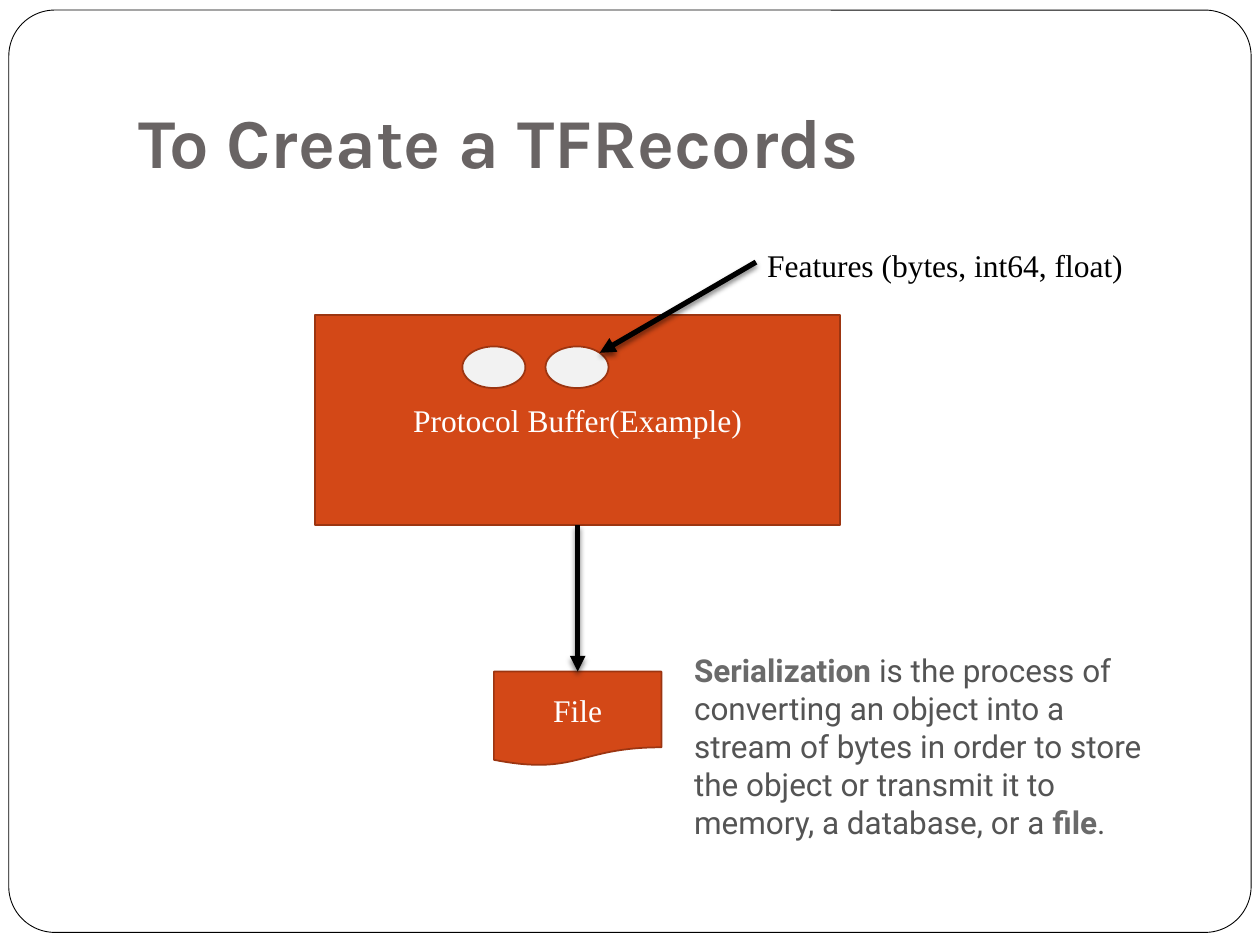
from lxml.etree import SubElement
from pptx import Presentation
from pptx.dml.color import RGBColor
from pptx.enum.shapes import MSO_CONNECTOR, MSO_SHAPE
from pptx.enum.text import MSO_ANCHOR, PP_ALIGN
from pptx.oxml.ns import qn
from pptx.util import Inches, Pt

COLORS = {
    "white": "FFFFFF",
    "black": "000000",
    "orange": "D34817",
    "rust": "9C3511",
    "pale": "F2F2F2",
    "title": "696464",
    "body": "545454",
    "strong": "6A6A6A",
}


def write_text(shape, text, size=18, font="Times New Roman", color="black", bold=False,
               align=PP_ALIGN.LEFT, anchor=MSO_ANCHOR.TOP):
    frame = shape.text_frame
    frame.word_wrap = True
    frame.vertical_anchor = anchor
    paragraph = frame.paragraphs[0]
    paragraph.alignment = align
    run = paragraph.add_run()
    run.text = text
    run.font.size = Pt(size)
    run.font.name = font
    run.font.bold = bold
    run.font.color.rgb = RGBColor.from_string(COLORS[color])


def add_box(kind, left, top, width, height, fill="orange", line="rust", weight=1):
    shape = slide.shapes.add_shape(kind, Inches(left), Inches(top), Inches(width), Inches(height))
    shape.shadow.inherit = False
    shape.fill.solid()
    shape.fill.fore_color.rgb = RGBColor.from_string(COLORS[fill])
    shape.line.color.rgb = RGBColor.from_string(COLORS[line])
    shape.line.width = Pt(weight)
    return shape


presentation = Presentation()
presentation.slide_width = Inches(10)
presentation.slide_height = Inches(7.5)
slide = presentation.slides.add_slide(presentation.slide_layouts[6])

frame_box = add_box(MSO_SHAPE.ROUNDED_RECTANGLE, 0.07, 0.08, 9.86, 7.32, "white", "black", 0.5)
frame_box.adjustments[0] = 0.05

title = slide.shapes.add_textbox(Inches(1), Inches(0.3), Inches(8.5), Inches(1.25))
title.text_frame.margin_bottom = Inches(0.1)
write_text(title, "To Create a TFRecords", size=40, font="Karla", color="title", bold=True,
           anchor=MSO_ANCHOR.BOTTOM)

protocol_buffer = add_box(MSO_SHAPE.RECTANGLE, 2.5, 2.5, 4.17, 1.67)
file_shape = add_box(MSO_SHAPE.FLOWCHART_DOCUMENT, 3.92, 5.33, 1.33, 0.75)
for shape, label in [(protocol_buffer, "Protocol Buffer(Example)"), (file_shape, "File")]:
    write_text(shape, label, color="white", align=PP_ALIGN.CENTER, anchor=MSO_ANCHOR.MIDDLE)

for left in (3.67, 4.33):
    add_box(MSO_SHAPE.OVAL, left, 2.75, 0.5, 0.33, fill="pale")

feature_arrow = slide.shapes.add_connector(
    MSO_CONNECTOR.STRAIGHT, Inches(6), Inches(2.08), Inches(4.76), Inches(2.8))
file_arrow = slide.shapes.add_connector(
    MSO_CONNECTOR.STRAIGHT, Inches(4.58), Inches(4.17), Inches(4.58), Inches(5.33))
file_arrow.begin_connect(protocol_buffer, 2)
file_arrow.end_connect(file_shape, 0)
for arrow in (feature_arrow, file_arrow):
    arrow.line.color.rgb = RGBColor.from_string(COLORS["black"])
    arrow.line.width = Pt(3)
    SubElement(arrow.line._get_or_add_ln(), qn("a:tailEnd"), type="triangle")
    effects = SubElement(arrow._element.spPr, qn("a:effectLst"))
    shadow = SubElement(effects, qn("a:outerShdw"), blurRad=str(Pt(3)), dist=str(Pt(2)),
                        dir="5400000", rotWithShape="0")
    shadow_color = SubElement(shadow, qn("a:srgbClr"), val=COLORS["black"])
    SubElement(shadow_color, qn("a:alpha"), val="50000")

features = slide.shapes.add_textbox(Inches(5.99), Inches(1.9), Inches(3.34), Inches(0.4))
write_text(features, "Features (bytes, int64, float)")

definition = slide.shapes.add_textbox(Inches(5.41), Inches(5.12), Inches(3.92), Inches(1.62))
for text, bold in [
    ("Serialization", True),
    (" is the process of converting an object into a stream of bytes in order to store "
     "the object or transmit it to memory, a database, or a ", False),
    ("file", True),
    (".", False),
]:
    write_text(definition, text, font="Roboto", color="strong" if bold else "body", bold=bold)

presentation.save("out.pptx")
